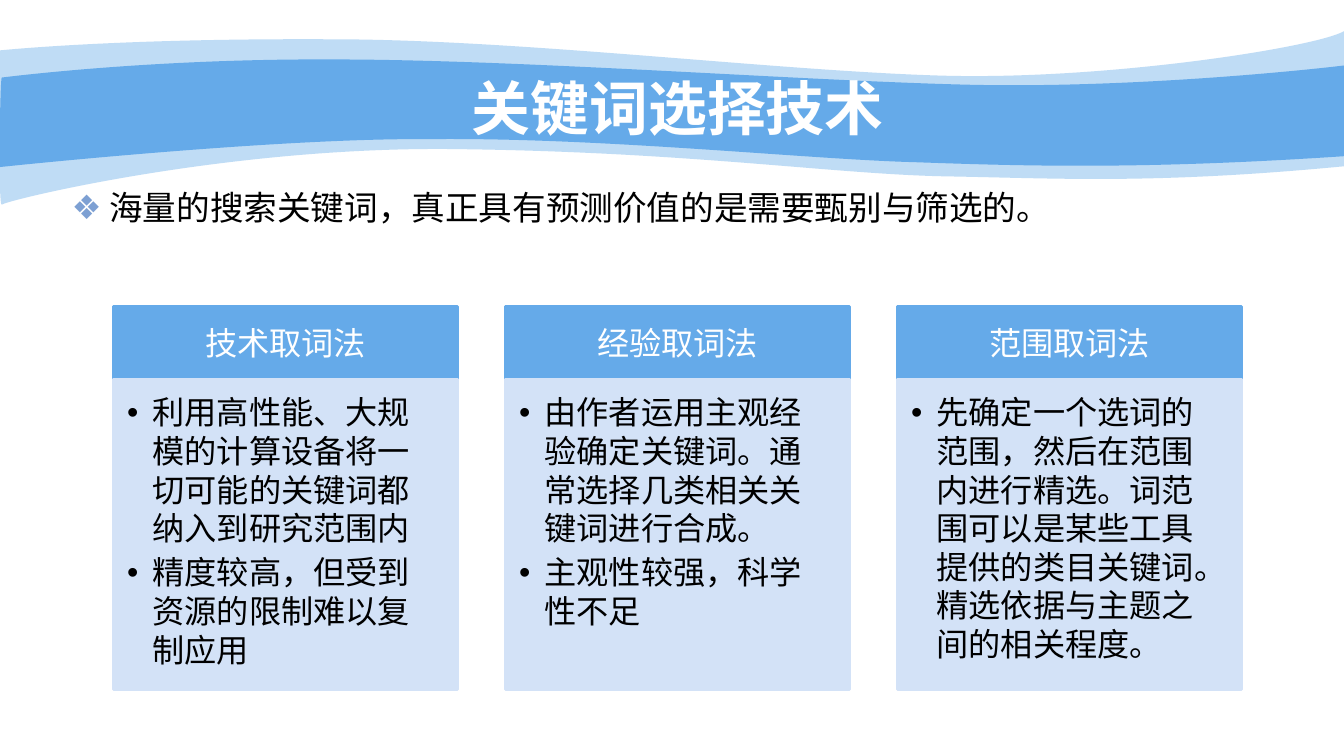
from dataclasses import dataclass

from lxml import etree
from pptx import Presentation
from pptx import util as u
from pptx.dml.color import RGBColor
from pptx.enum import shapes, text
from pptx.oxml.ns import qn


@dataclass(frozen=True)
class Theme:
    blue: str = "65AAE9"
    panel: str = "D3E2F7"
    marker: str = "7DA0D3"
    white: str = "FFFFFF"
    black: str = "000000"
    cjk: str = "Noto Sans CJK SC"
    latin: str = "Arial"
    title_size: float = 42
    lead_size: float = 24
    card_size: float = 23


@dataclass(frozen=True)
class Curve:
    x1: float
    y1: float
    x2: float
    y2: float
    x: float
    y: float

    def points(self) -> list[tuple[float, float]]:
        return [(self.x1, self.y1), (self.x2, self.y2), (self.x, self.y)]


@dataclass(frozen=True)
class Wave:
    start: tuple[float, float]
    top: list[Curve]
    right_bottom: tuple[float, float]
    bottom: list[Curve]
    alpha: int


@dataclass(frozen=True)
class Card:
    heading: str
    points: list[str]


@dataclass(frozen=True)
class Box:
    left: float
    top: float
    width: float
    height: float

    def lengths(self) -> list[u.Length]:
        return [u.Pt(v) for v in (self.left, self.top, self.width, self.height)]


T = Theme()
CARD_LEFT, CARD_PITCH, CARD_WIDTH = 81.3, 280, 245.6
HEADING_TOP, HEADING_HEIGHT, PANEL_HEIGHT = 219, 51.75, 221.75

WAVES = [
    Wave((0, 36),
         [Curve(23, 33.8, 103, 27.4, 236.9, 28.1),
          Curve(370.1, 28.1, 552.2, 50.4, 671, 54),
          Curve(789.1, 57.6, 940.3, 33.8, 960, 22.3)],
         (960, 118.8),
         [Curve(823.7, 131.8, 756, 127.4, 676.1, 126),
          Curve(596.9, 124.6, 494.6, 108.7, 329.8, 106.6),
          Curve(164.9, 103.7, 3.6, 143.3, 1.4, 146.2),
          Curve(-1.4, 149.8, 0, 54, 0, 36)], 41),
    Wave((1.4, 55.4),
         [Curve(2.2, 55.4, 105.1, 41.8, 238.3, 42.5),
          Curve(370.8, 42.5, 571.7, 57.6, 689.8, 60.5),
          Curve(807.8, 63.4, 936.7, 49.7, 960, 46.8)],
         (960, 111.6),
         [Curve(818.6, 121, 735.1, 118.8, 654.5, 115.9),
          Curve(575.3, 113.8, 429.1, 97.9, 304.6, 99.4),
          Curve(195.1, 98.6, -2.2, 119.5, -1.4, 119.5),
          Curve(0, 119.5, 0, 55.4, 1.4, 55.4)], 100),
]

CARDS = [
    Card("技术取词法", ["利用高性能、大规模的计算设备将一切可能的关键词都纳入到研究范围内",
                  "精度较高，但受到资源的限制难以复制应用"]),
    Card("经验取词法", ["由作者运用主观经验确定关键词。通常选择几类相关关键词进行合成。",
                  "主观性较强，科学性不足"]),
    Card("范围取词法", ["先确定一个选词的范围，然后在范围内进行精选。词范围可以是某些工具提供的类目关键词。"
                  "精选依据与主题之间的相关程度。"]),
]


def set_color(fmt, color: str, alpha: int = 100) -> None:
    fmt.solid()
    fmt.fore_color.rgb = RGBColor.from_string(color)
    if alpha < 100:
        for clr in fmt._xPr.iterfind(f"{qn('a:solidFill')}/{qn('a:srgbClr')}"):
            etree.SubElement(clr, qn("a:alpha")).set("val", str(alpha * 1000))


def bend(segments: list) -> None:
    for i in range(0, len(segments), 3):
        first, *others = segments[i:i + 3]
        curve = etree.Element(qn("a:cubicBezTo"))
        first.addprevious(curve)
        for segment in (first, *others):
            curve.append(segment[0])
            segment.getparent().remove(segment)


def add_wave(s, wave: Wave) -> None:
    top = [pt for c in wave.top for pt in c.points()]
    bottom = [pt for c in wave.bottom for pt in c.points()]
    fb = s.shapes.build_freeform(u.Pt(wave.start[0]), u.Pt(wave.start[1]))
    fb.add_line_segments([(u.Pt(x), u.Pt(y)) for x, y in [*top, wave.right_bottom, *bottom]],
                         close=True)
    sp = fb.convert_to_shape()
    segments = list(sp._element.iter(qn("a:lnTo")))
    bend(segments[:len(top)])
    bend(segments[len(top) + 1:len(top) + 1 + len(bottom)])
    sp.shadow.inherit = False
    set_color(sp.fill, T.blue, wave.alpha)
    sp.line.fill.background()


def set_frame(tf, anchor, insets: tuple[float, float, float, float]) -> None:
    tf.word_wrap = True
    tf.auto_size = text.MSO_AUTO_SIZE.NONE
    tf.vertical_anchor = anchor
    tf.margin_left, tf.margin_top, tf.margin_right, tf.margin_bottom = map(u.Pt, insets)


def add_run(p, words: str, size: float, color: str, font: str, bold: bool = False) -> None:
    r = p.add_run()
    r.text = words
    r.font.size = u.Pt(size)
    r.font.bold = bold
    r.font.color.rgb = RGBColor.from_string(color)
    r.font.name = font
    if font == T.cjk:
        etree.SubElement(r._r.get_or_add_rPr(), qn("a:ea")).set("typeface", font)


def add_bullet(p, char: str, color: str, indent: float) -> None:
    pPr = p._p.get_or_add_pPr()
    pPr.set("marL", str(u.Pt(indent)))
    pPr.set("indent", str(-u.Pt(indent)))
    clr = etree.SubElement(pPr, qn("a:buClr"))
    etree.SubElement(clr, qn("a:srgbClr")).set("val", color)
    etree.SubElement(pPr, qn("a:buFont")).set("typeface", T.latin)
    etree.SubElement(pPr, qn("a:buChar")).set("char", char)


def add_rect(s, box: Box, color: str):
    sp = s.shapes.add_shape(shapes.MSO_SHAPE.RECTANGLE, *box.lengths())
    sp.shadow.inherit = False
    set_color(sp.fill, color)
    set_color(sp.line.fill, color)
    sp.line.width = u.Pt(2)
    return sp


def add_card(s, card: Card, left: float) -> None:
    sp = add_rect(s, Box(left, HEADING_TOP, CARD_WIDTH, HEADING_HEIGHT), T.blue)
    set_frame(sp.text_frame, text.MSO_ANCHOR.MIDDLE, (13, 7.2, 13, 7.2))
    p = sp.text_frame.paragraphs[0]
    p.alignment = text.PP_ALIGN.CENTER
    p.line_spacing = u.Pt(27.6)
    add_run(p, card.heading, T.card_size, T.white, T.latin)

    sp = add_rect(s, Box(left, HEADING_TOP + HEADING_HEIGHT, CARD_WIDTH, PANEL_HEIGHT), T.panel)
    tf = sp.text_frame
    set_frame(tf, text.MSO_ANCHOR.TOP, (9.6, 9.6, 13, 14.4))
    for i, point in enumerate(card.points):
        p = tf.add_paragraph() if i else tf.paragraphs[0]
        add_bullet(p, "•", T.black, 18)
        p.alignment = text.PP_ALIGN.LEFT
        p.line_spacing = u.Pt(27.6)
        p.space_after = u.Pt(3.9)
        add_run(p, point, T.card_size, T.black, T.latin)


def add_title(s, words: str) -> None:
    sp = s.shapes.title
    sp.left, sp.top, sp.width, sp.height = Box(96, 54, 776, 44.6).lengths()
    set_frame(sp.text_frame, text.MSO_ANCHOR.MIDDLE, (7.2, 0, 7.2, 0))
    p = sp.text_frame.paragraphs[0]
    p.alignment = text.PP_ALIGN.CENTER
    add_run(p, words, T.title_size, T.white, T.cjk, bold=True)
    s.shapes._spTree.append(sp._element)


def add_lead(s, words: str) -> None:
    tf = s.shapes.add_textbox(*Box(44, 130.3, 870.5, 69.8).lengths()).text_frame
    set_frame(tf, text.MSO_ANCHOR.TOP, (7.2, 3.6, 7.2, 3.6))
    p = tf.paragraphs[0]
    add_bullet(p, "❖", T.marker, 27)
    add_run(p, words, T.lead_size, T.black, T.cjk)


def main() -> None:
    prs = Presentation()
    prs.slide_width, prs.slide_height = u.Pt(960), u.Pt(540)
    s = prs.slides.add_slide(prs.slide_layouts[5])
    for wave in WAVES:
        add_wave(s, wave)
    add_title(s, "关键词选择技术")
    add_lead(s, "海量的搜索关键词，真正具有预测价值的是需要甄别与筛选的。")
    for i, card in enumerate(CARDS):
        add_card(s, card, CARD_LEFT + i * CARD_PITCH)
    prs.save("out.pptx")


if __name__ == "__main__":
    main()
